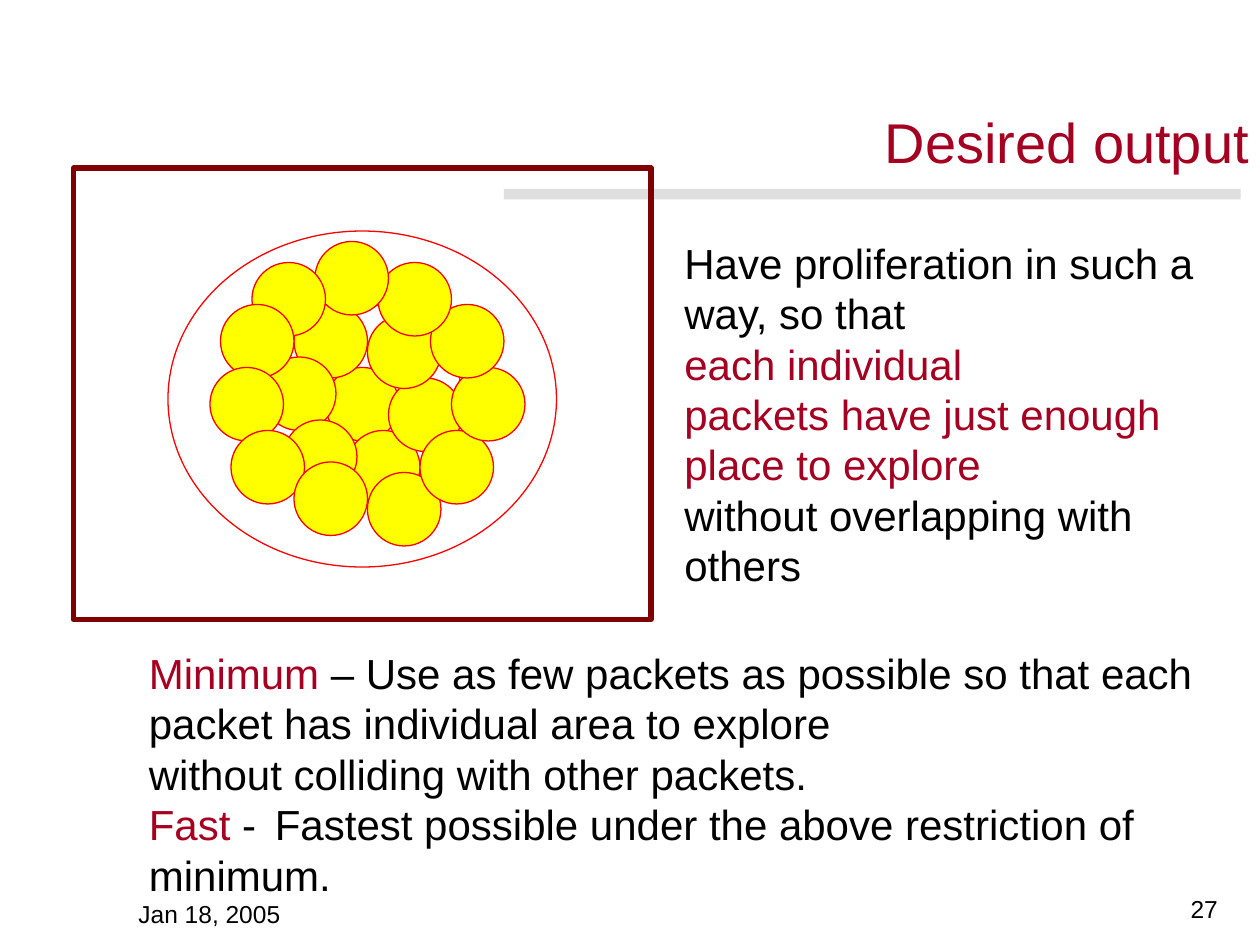
import pptx
import pptx.dml.color
import pptx.enum.shapes
import pptx.enum.text
import pptx.oxml
import pptx.util
from dataclasses import dataclass
from lxml import etree

Pt = pptx.util.Pt
RGB = pptx.dml.color.RGBColor.from_string
SHAPE = pptx.enum.shapes.MSO_SHAPE
ALIGN = pptx.enum.text.PP_ALIGN
ANCHOR = pptx.enum.text.MSO_ANCHOR


@dataclass(frozen=True)
class Theme:
    """Colours, font and type sizes of the slide."""
    font: str = "Arial"
    ink: str = "000000"
    accent: str = "A50021"
    rule: str = "C0C0C0"
    frame: str = "800000"
    outline: str = "FF0000"
    packet: str = "FFFF00"
    title: float = 32
    body: float = 24
    footer: float = 14
    title_leading: float = 33.2
    body_leading: float = 28.8


THEME = Theme()
GRID = 6
PACKET_SIZE = 7
CENTRE = [(24, 19)]
INNER_RING = [(26, 25), (30, 20), (28, 14), (21, 13), (18, 18), (20, 24)]
OUTER_RING = [(28, 29), (33, 25), (36, 19), (34, 13), (29, 9), (23, 7),
              (17, 9), (14, 13), (13, 19), (15, 25), (21, 28)]
GOAL = [
    [("Have proliferation in such a way, so that", THEME.ink)],
    [("each individual", THEME.accent)],
    [("packets have just enough place to explore", THEME.accent)],
    [("without overlapping with others", THEME.ink)],
]
CRITERIA = [
    [("Minimum", THEME.accent),
     (" – Use as few packets as possible so that each packet has individual area to explore", THEME.ink)],
    [("without colliding with other packets.", THEME.ink)],
    [("Fast", THEME.accent),
     (" -\tFastest possible under the above restriction of minimum.", THEME.ink)],
]


def style_font(font, size, color):
    """Apply the theme font with a size and colour."""
    font.name = THEME.font
    font.size = Pt(size)
    font.color.rgb = RGB(color)


def add_shape(shapes, kind, box, fill=None, line=None, width=0.75):
    """Add a flat preset shape with optional fill and outline."""
    sp = shapes.add_shape(kind, *map(Pt, box))
    sp.shadow.inherit = False
    if fill:
        sp.fill.solid()
        sp.fill.fore_color.rgb = RGB(fill)
    else:
        sp.fill.background()
    if line:
        sp.line.color.rgb = RGB(line)
        sp.line.width = Pt(width)
    else:
        sp.line.fill.background()
    return sp


def add_heading(s, title_box, rule_box):
    """Place the title and the translucent rule below it."""
    sp = s.shapes.title
    sp.left, sp.top, sp.width, sp.height = map(Pt, title_box)
    tf = sp.text_frame
    tf.text = "Desired output"
    tf.word_wrap = False
    tf.auto_size = pptx.enum.text.MSO_AUTO_SIZE.NONE
    tf.vertical_anchor = ANCHOR.TOP
    tf.margin_left = tf.margin_right = tf.margin_top = tf.margin_bottom = 0
    p = tf.paragraphs[0]
    p.alignment = ALIGN.LEFT
    p.line_spacing = Pt(THEME.title_leading)
    style_font(p.runs[0].font, THEME.title, THEME.accent)
    rule = add_shape(s.shapes, SHAPE.ROUNDED_RECTANGLE, rule_box, fill=THEME.rule)
    rule.adjustments[0] = 0.02
    color = rule.fill._xPr.find(".//" + pptx.oxml.ns.qn("a:srgbClr"))
    etree.SubElement(color, pptx.oxml.ns.qn("a:alpha"), val="50000")


def add_packets(shapes, left, top, cells):
    """Add one packet circle for each grid cell."""
    size = PACKET_SIZE * GRID
    for col, row in cells:
        box = (left + col * GRID, top + row * GRID, size, size)
        add_shape(shapes, SHAPE.OVAL, box, THEME.packet, THEME.outline)


def add_diagram(s, box):
    """Draw the framed region with its rings of packets."""
    left, top = box[:2]
    add_shape(s.shapes, SHAPE.RECTANGLE, box, line=THEME.frame, width=3)
    for col, row, cols, rows in [(18, 13, 19, 18), (9, 6, 37, 32)]:
        region = (left + col * GRID, top + row * GRID, cols * GRID, rows * GRID)
        add_shape(s.shapes, SHAPE.OVAL, region, line=THEME.outline)
    add_packets(s.shapes, left, top, CENTRE)
    for ring in (INNER_RING, OUTER_RING):
        add_packets(s.shapes.add_group_shape().shapes, left, top, ring)


def add_body(s, box, paragraphs):
    """Write paragraphs of coloured runs in a wrapping text box."""
    tf = s.shapes.add_textbox(*map(Pt, box)).text_frame
    tf.word_wrap = True
    for i, parts in enumerate(paragraphs):
        p = tf.add_paragraph() if i else tf.paragraphs[0]
        p.line_spacing = Pt(THEME.body_leading)
        tabs = etree.SubElement(p._p.get_or_add_pPr(), pptx.oxml.ns.qn("a:tabLst"))
        etree.SubElement(tabs, pptx.oxml.ns.qn("a:tab"), pos=str(Pt(72)), algn="l")
        for text, color in parts:
            r = p.add_run()
            r.text = text
            style_font(r.font, THEME.body, color)


def add_footer(s, box, text, align):
    """Write one footer item at the bottom of its box."""
    tf = s.shapes.add_textbox(*map(Pt, box)).text_frame
    tf.word_wrap = True
    tf.vertical_anchor = ANCHOR.BOTTOM
    tf.text = text
    p = tf.paragraphs[0]
    p.alignment = align
    style_font(p.runs[0].font, THEME.footer, THEME.ink)


def main():
    """Build and save the slide."""
    prs = pptx.Presentation()
    prs.slide_width, prs.slide_height = Pt(720), Pt(540)
    s = prs.slides.add_slide(prs.slide_layouts.get_by_name("Title Only"))
    add_heading(s, (505.5, 66.5, 209, 33), (288, 108, 421, 6))
    add_diagram(s, (42, 96, 330, 258))
    add_body(s, (384, 132, 324, 209), GOAL)
    add_body(s, (78, 366.5, 618, 151), CRITERIA)
    add_footer(s, (72, 510, 150, 24), "Jan 18, 2005", ALIGN.LEFT)
    add_footer(s, (553, 507, 150, 24), "27", ALIGN.RIGHT)
    prs.save("out.pptx")


if __name__ == "__main__":
    main()
